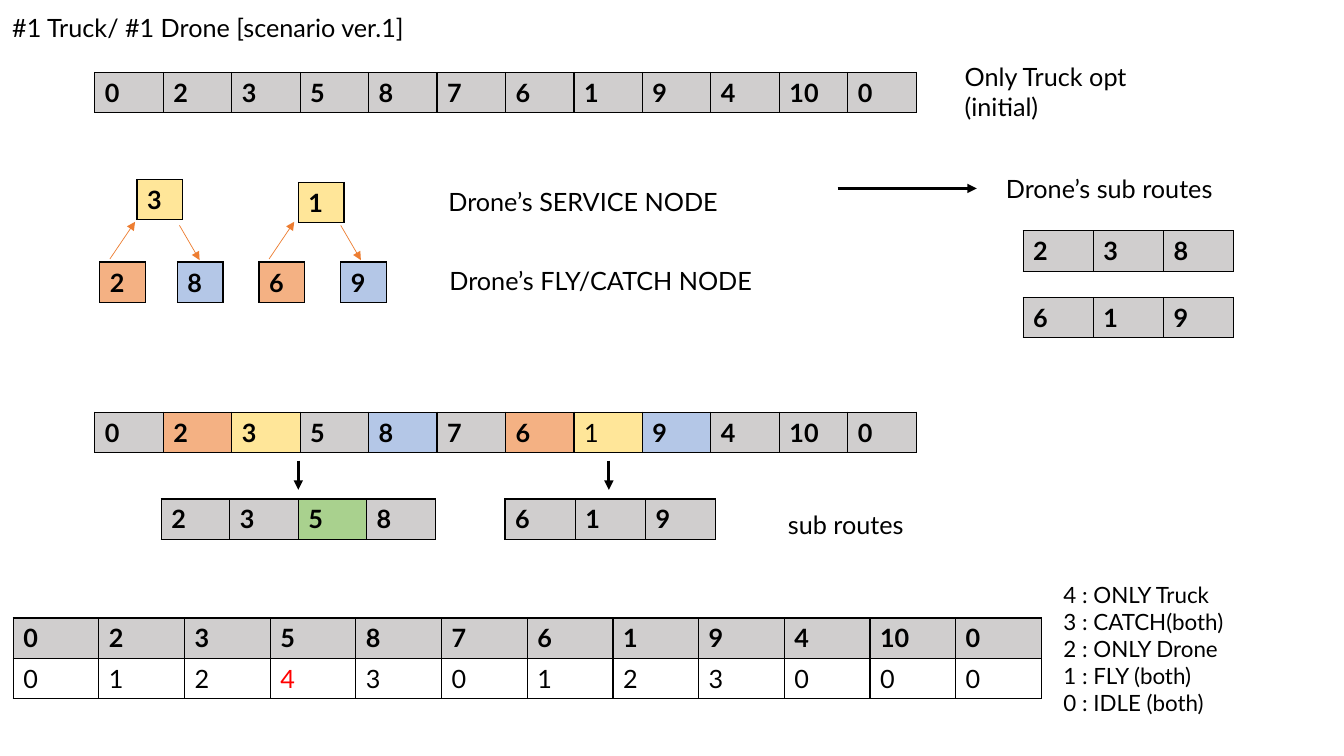
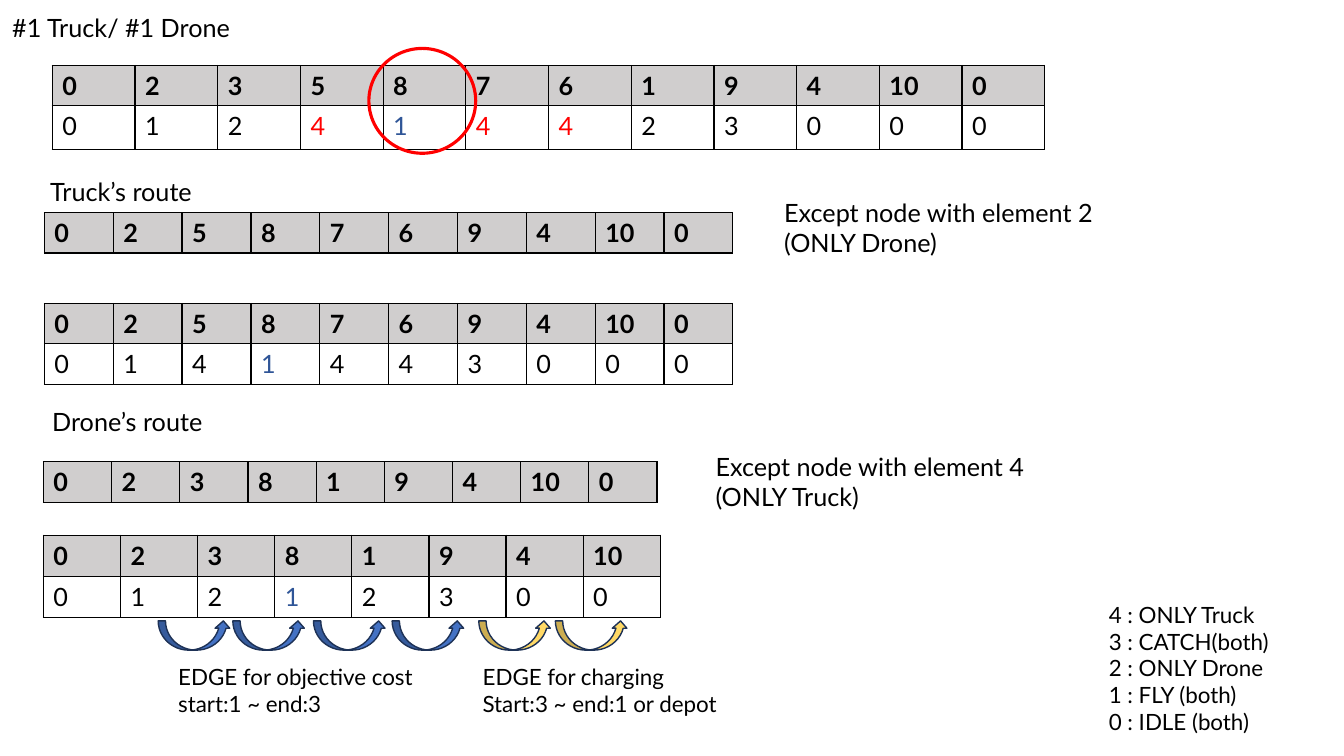
"""Build two slides on routing one truck and one drone."""
from lxml.etree import SubElement
from pptx import Presentation
from pptx.dml.color import RGBColor
from pptx.enum.shapes import MSO_CONNECTOR as Connector, MSO_SHAPE as Preset
from pptx.enum.text import MSO_ANCHOR as Anchor, MSO_AUTO_SIZE as AutoSize, PP_ALIGN as Align
from pptx.oxml import parse_xml
from pptx.oxml.ns import nsdecls, qn
from pptx.util import Pt

BLACK, GREY, RED, NAVY = "000000", "D0CECE", "FF0000", "2F5597"
ORANGE, YELLOW, BLUE, GREEN = "F4B183", "FFE699", "B4C7E7", "A9D18E"
EDGE_ORANGE, ARROW_BLUE, ARROW_YELLOW, ARROW_LINE = "ED7D31", "4472C4", "FFD966", "1E3256"
FULL_ROUTE = "0 2 3 5 8 7 6 1 9 4 10 0"
TRUCK_ROUTE = "0 2 5 8 7 6 9 4 10 0"
LEGEND = "4 : ONLY Truck\n3 : CATCH(both)\n2 : ONLY Drone\n1 : FLY (both)\n0 : IDLE (both)"


def color(value):
    return RGBColor.from_string(value)


def set_values(target, values):
    for name, value in values.items():
        setattr(target, name, value)


class Deck:
    """Hold the shared style and the slide being drawn."""

    font_name = "Lato"
    text_size, note_size = 18, 16
    row_height = 28.8
    frame_format = {"word_wrap": True, "auto_size": AutoSize.NONE,
                    "vertical_anchor": Anchor.TOP}
    paragraph_format = {"alignment": Align.LEFT, "space_before": Pt(0), "space_after": Pt(0)}

    def __init__(self):
        self.presentation = Presentation()
        set_values(self.presentation, {"slide_width": Pt(960), "slide_height": Pt(540)})
        self.slide = None

    def add_slide(self, title, legend_left, legend_top, legend_width):
        layout = self.presentation.slide_layouts[1]
        self.slide = self.presentation.slides.add_slide(layout)
        heading, legend = self.slide.placeholders
        self.place(heading, 1.5, 5, 380, 29)
        self.fill_text(heading.text_frame, title, self.text_size)
        self.place(legend, legend_left, legend_top, legend_width, 107)
        self.fill_text(legend.text_frame, LEGEND, self.note_size)
        for paragraph in legend.text_frame.paragraphs:
            properties = paragraph._p.get_or_add_pPr()
            properties.set("marL", "0")
            properties.set("indent", "0")
            SubElement(properties, qn("a:buNone"))

    def place(self, shape, left, top, width, height):
        set_values(shape, {"left": Pt(left), "top": Pt(top),
                           "width": Pt(width), "height": Pt(height)})

    def style(self, paragraph, size, hue=BLACK, bold=False):
        set_values(paragraph, self.paragraph_format)
        for run in paragraph.runs:
            set_values(run.font, {"name": self.font_name, "size": Pt(size), "bold": bold})
            run.font.color.rgb = color(hue)

    def fill_text(self, frame, text, size):
        set_values(frame, self.frame_format)
        frame.text = text
        for paragraph in frame.paragraphs:
            self.style(paragraph, size)

    def text(self, left, top, width, text, size=text_size):
        height = 7.2 + 1.2 * size * len(text.split("\n"))
        box = self.slide.shapes.add_textbox(Pt(left), Pt(top), Pt(width), Pt(height))
        self.fill_text(box.text_frame, text, size)

    def border(self, cell):
        properties = cell._tc.get_or_add_tcPr()
        for index, side in enumerate(("lnL", "lnR", "lnT", "lnB")):
            properties.insert(index, parse_xml(
                f'<a:{side} {nsdecls("a")} w="{Pt(1)}"><a:solidFill>'
                f'<a:srgbClr val="{BLACK}"/></a:solidFill></a:{side}>'))

    def route(self, left, top, column_width, nodes, states="", fills=None, hues=None,
              plain=(), heights=(row_height, row_height)):
        rows = [line.split() for line in (nodes, states) if line]
        heights = heights[:len(rows)]
        columns = len(rows[0])
        frame = self.slide.shapes.add_table(len(rows), columns, Pt(left), Pt(top),
                                            Pt(column_width * columns), Pt(sum(heights)))
        table = frame.table
        set_values(table, {"first_row": False, "horz_banding": False})
        for column in table.columns:
            column.width = Pt(column_width)
        for row_index, values in enumerate(rows):
            is_header = row_index == 0
            table.rows[row_index].height = Pt(heights[row_index])
            for index, value in enumerate(values):
                cell = table.cell(row_index, index)
                cell.text = value
                hue = BLACK if is_header else (hues or {}).get(index, BLACK)
                self.style(cell.text_frame.paragraphs[0], self.text_size, hue,
                           is_header and index not in plain)
                if is_header:
                    cell.fill.solid()
                    cell.fill.fore_color.rgb = color((fills or {}).get(index, GREY))
                else:
                    cell.fill.background()
                self.border(cell)

    def arrow(self, start, end, hue=BLACK, width=2.25):
        points = [Pt(value) for value in (*start, *end)]
        connector = self.slide.shapes.add_connector(Connector.STRAIGHT, *points)
        connector.line.color.rgb = color(hue)
        connector.line.width = Pt(width)
        SubElement(connector.line._get_or_add_ln(), qn("a:tailEnd"), type="triangle")
        SubElement(connector._element.spPr, qn("a:effectLst"))

    def shape(self, preset, left, top, width, height, line, line_width, fill=None):
        shape = self.slide.shapes.add_shape(preset, Pt(left), Pt(top), Pt(width), Pt(height))
        shape.shadow.inherit = False
        if fill:
            shape.fill.solid()
            shape.fill.fore_color.rgb = color(fill)
        else:
            shape.fill.background()
        shape.line.color.rgb = color(line)
        shape.line.width = Pt(line_width)


def draw_scenario(deck):
    deck.add_slide("#1 Truck/ #1 Drone [scenario ver.1]", 752.4, 411.8, 200)
    deck.route(67.7, 51.8, 48.9, FULL_ROUTE)
    deck.text(682, 40.3, 156, "Only Truck opt\n(initial)")

    for left, top, node, fill in ((97.9, 128.2, "3", YELLOW), (213.1, 130.3, "1", YELLOW),
                                  (71.3, 187.2, "2", ORANGE), (126.7, 187.2, "8", BLUE),
                                  (185, 187.2, "6", ORANGE), (243.4, 187.2, "9", BLUE)):
        deck.route(left, top, 32.6, node, fills={0: fill})
    for fly_left, catch_left in ((78.5, 128.2), (192.2, 243.4)):
        deck.arrow((fly_left, 185), (fly_left + 18, 158.4), EDGE_ORANGE, 0.5)
        deck.arrow((catch_left, 161), (catch_left + 14.4, 185.8), EDGE_ORANGE, 0.5)
    deck.text(313.2, 129.6, 230, "Drone’s SERVICE NODE")
    deck.text(313.9, 185.8, 262, "Drone’s FLY/CATCH NODE")

    deck.arrow((598.3, 134.6), (697.7, 134.6))
    deck.text(711.4, 120.2, 187, "Drone’s sub routes")
    deck.route(730.8, 164.9, 50.2, "2 3 8")
    deck.route(730.8, 212.4, 50.2, "6 1 9")

    deck.route(67.7, 294.5, 48.9, FULL_ROUTE, plain=(7,),
               fills={1: ORANGE, 2: YELLOW, 4: BLUE, 6: ORANGE, 7: YELLOW, 8: BLUE})
    for left in (213.1, 434.9):
        deck.arrow((left, 329), (left, 349.9))
    deck.route(115.2, 356.4, 48.9, "2 3 5 8", fills={2: GREEN})
    deck.route(360.7, 356.4, 50.2, "6 1 9")
    deck.text(555.8, 360, 111, "sub routes")
    deck.route(9.4, 441.4, 61.2, FULL_ROUTE, "0 1 2 4 3 0 1 2 3 0 0 0", hues={3: RED})


def draw_routes(deck):
    deck.add_slide("#1 Truck/ #1 Drone", 784.8, 425.5, 170)
    deck.route(37.4, 46.8, 59.1, FULL_ROUTE, "0 1 2 4 1 4 4 2 3 0 0 0",
               hues={3: RED, 4: NAVY, 5: RED, 6: RED}, heights=(28.8, 30.9))
    deck.shape(Preset.OVAL, 263.5, 34.6, 76.3, 74.9, RED, 2.25)

    deck.text(28.8, 122.4, 140, "Truck’s route")
    deck.route(31.7, 151.9, 49.2, TRUCK_ROUTE)
    deck.text(553, 137.5, 276, "Except node with element 2\n(ONLY Drone)")
    deck.route(31.7, 216.7, 49.2, TRUCK_ROUTE, "0 1 4 1 4 4 3 0 0 0", hues={3: NAVY})

    deck.text(30.2, 286.6, 140, "Drone’s route")
    deck.route(31, 329.8, 48.7, "0 2 3 8 1 9 4 10 0", heights=(29.3,))
    deck.text(504, 319, 276, "Except node with element 4\n(ONLY Truck)")
    deck.route(31, 382.3, 55.1, "0 2 3 8 1 9 4 10", "0 1 2 1 2 3 0 0",
               hues={3: NAVY}, heights=(29.3, 29.3))

    for fill, lefts in ((ARROW_BLUE, (113, 166.3, 223.9, 280.1)), (ARROW_YELLOW, (342, 396.7))):
        for left in lefts:
            deck.shape(Preset.CURVED_UP_ARROW, left, 443.5, 51.8, 20.9, ARROW_LINE, 1, fill)
    deck.text(120.2, 470.2, 210, "EDGE for objective cost\nstart:1 ~ end:3", deck.note_size)
    deck.text(337.7, 470.2, 222, "EDGE for charging\nStart:3 ~ end:1 or depot", deck.note_size)


def main():
    deck = Deck()
    draw_scenario(deck)
    draw_routes(deck)
    deck.presentation.save("out.pptx")


if __name__ == "__main__":
    main()
